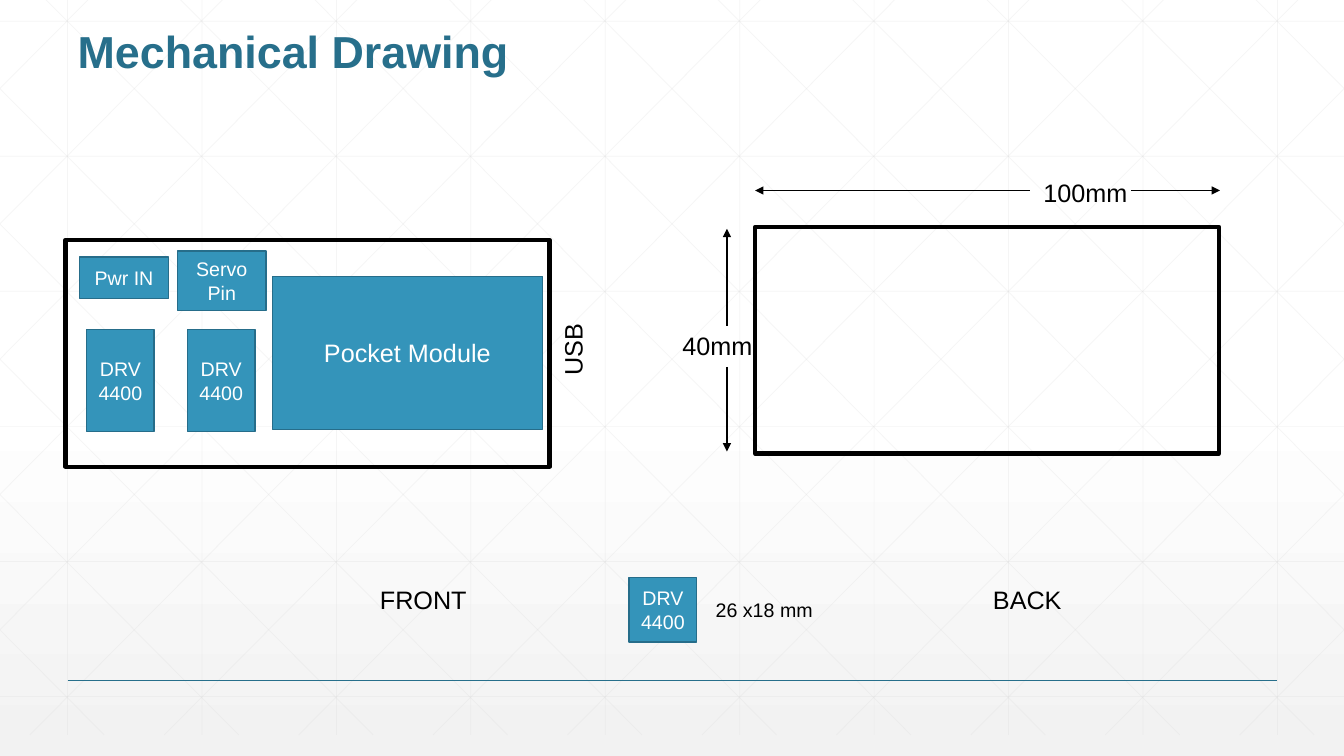
from lxml.etree import SubElement
from pptx import Presentation
from pptx.dml.color import RGBColor
from pptx.enum.shapes import MSO_CONNECTOR, MSO_SHAPE
from pptx.enum.text import MSO_ANCHOR, MSO_AUTO_SIZE, PP_ALIGN
from pptx.oxml.ns import qn
from pptx.util import Inches, Pt

WIDTH, HEIGHT = 13.33, 7.5
GRID_TOP, GRID_BOTTOM = -0.21, 7.29
GRID_STEP = 4 / 3
DIAGONAL_RUN = 7.45
BLACK, WHITE = "000000", "FFFFFF"
TITLE_BLUE, PART_FILL, PART_LINE = "276F8B", "3494BA", "266D8A"
DRIVER = "DRV4400"


def color(value):
    return RGBColor.from_string(value)


def write_text(shape, text, size=18, ink=BLACK, bold=False, align=PP_ALIGN.LEFT,
               anchor=MSO_ANCHOR.TOP, wrap=True, line_spacing=None):
    frame = shape.text_frame
    frame.word_wrap = wrap
    frame.vertical_anchor = anchor
    paragraph = frame.paragraphs[0]
    paragraph.alignment = align
    paragraph.line_spacing = line_spacing
    run = paragraph.add_run()
    run.text = text
    run.font.name = "Arial"
    run.font.size = Pt(size)
    run.font.bold = bold
    run.font.color.rgb = color(ink)


def add_line(slide, start, end, ink=BLACK, weight=1, opacity=None, arrow=None):
    points = [Inches(value) for value in (*start, *end)]
    connector = slide.shapes.add_connector(MSO_CONNECTOR.STRAIGHT, *points)
    connector.line.color.rgb = color(ink)
    connector.line.width = Pt(weight)
    outline = connector.line._get_or_add_ln()
    if opacity:
        tint = outline.find(".//" + qn("a:srgbClr"))
        SubElement(tint, qn("a:alpha"), val=str(opacity * 1000))
    if arrow:
        SubElement(outline, qn(f"a:{arrow}"), type="triangle")
    SubElement(connector._element.spPr, qn("a:effectLst"))


def add_rectangle(slide, box, line, weight):
    shape = slide.shapes.add_shape(MSO_SHAPE.RECTANGLE, *map(Inches, box))
    shape.shadow.inherit = False
    shape.fill.background()
    shape.line.color.rgb = color(line)
    shape.line.width = Pt(weight)
    return shape


def add_board(slide, box):
    add_rectangle(slide, box, BLACK, 3)


def add_part(slide, text, box, size=14):
    part = add_rectangle(slide, box, PART_LINE, 1)
    part.fill.solid()
    part.fill.fore_color.rgb = color(PART_FILL)
    write_text(part, text, size=size, ink=WHITE, align=PP_ALIGN.CENTER,
               anchor=MSO_ANCHOR.MIDDLE)


def add_label(slide, text, box, size=18, wrap=True, rotation=0):
    label = slide.shapes.add_textbox(*map(Inches, box))
    label.rotation = rotation
    write_text(label, text, size=size, wrap=wrap)
    label.text_frame.auto_size = MSO_AUTO_SIZE.SHAPE_TO_FIT_TEXT


def paint_background(slide):
    fill = slide.background.fill
    fill.gradient()
    fill.gradient_angle = 270
    for stop, position, shade in zip(fill.gradient_stops, (0.53, 1), (WHITE, "F2F2F2")):
        stop.position = position
        stop.color.rgb = color(shade)


def add_grid(slide):
    grid_format = {"ink": "D9D9D9", "weight": 0.5, "opacity": 25}
    for column in range(10):
        x = 0.67 + column * GRID_STEP
        add_line(slide, (x, GRID_TOP), (x, GRID_BOTTOM), **grid_format)
    for row in range(6):
        y = 0.21 + row * 1.34
        add_line(slide, (0, y), (WIDTH, y), **grid_format)
    slope = (GRID_BOTTOM - GRID_TOP) / DIAGONAL_RUN
    for index in range(-5, 10):
        origin = 0.25 + index * GRID_STEP
        left = max(origin, 0)
        right = min(origin + DIAGONAL_RUN, WIDTH)
        top, bottom = (GRID_TOP + (x - origin) * slope for x in (left, right))
        add_line(slide, (left, top), (right, bottom), **grid_format)
        add_line(slide, (WIDTH - left, top), (WIDTH - right, bottom), **grid_format)


def add_title(slide, text):
    title = slide.shapes.title
    title.left, title.top, title.width, title.height = map(Inches, (0.67, 0.25, 12, 1))
    write_text(title, text, size=32, ink=TITLE_BLUE, bold=True, line_spacing=0.9)
    slide.shapes._spTree.append(title._element)


def add_front(slide):
    add_board(slide, (0.65, 2.38, 4.8, 2.25))
    add_part(slide, "Pocket Module", (2.7, 2.74, 2.68, 1.52), size=18)
    for left in (0.86, 1.86):
        add_part(slide, DRIVER, (left, 3.27, 0.67, 1.01))
    add_part(slide, "Servo Pin", (1.76, 2.49, 0.88, 0.59))
    add_part(slide, "Pwr IN", (0.79, 2.55, 0.88, 0.41))
    add_label(slide, "USB", (5.32, 3.26, 0.72, 0.4), rotation=270)
    add_label(slide, "FRONT", (3.67, 5.75, 1.07, 0.4), wrap=False)


def add_back(slide):
    add_board(slide, (7.49, 2.25, 4.6, 2.25))
    add_line(slide, (7.49, 1.89), (10.22, 1.89), arrow="headEnd")
    add_line(slide, (11.22, 1.89), (12.1, 1.89), arrow="tailEnd")
    add_label(slide, "100mm", (10.25, 1.71, 1.09, 0.4))
    add_line(slide, (7.21, 2.27), (7.21, 3.23), arrow="headEnd")
    add_line(slide, (7.21, 3.64), (7.21, 4.48), arrow="tailEnd")
    add_label(slide, "40mm", (6.67, 3.23, 1.09, 0.4))
    add_label(slide, "BACK", (9.75, 5.75, 0.89, 0.4), wrap=False)


def add_legend(slide):
    add_part(slide, DRIVER, (6.24, 5.73, 0.67, 0.64))
    add_label(slide, "26 x18 mm", (7, 5.88, 1.43, 0.34), size=14)


def main():
    presentation = Presentation()
    presentation.slide_width = Inches(WIDTH)
    presentation.slide_height = Inches(HEIGHT)
    slide = presentation.slides.add_slide(presentation.slide_layouts[5])
    paint_background(slide)
    add_grid(slide)
    add_line(slide, (0.67, 6.75), (12.67, 6.75), ink=TITLE_BLUE)
    add_title(slide, "Mechanical Drawing")
    add_front(slide)
    add_back(slide)
    add_legend(slide)
    presentation.save("out.pptx")


main()
